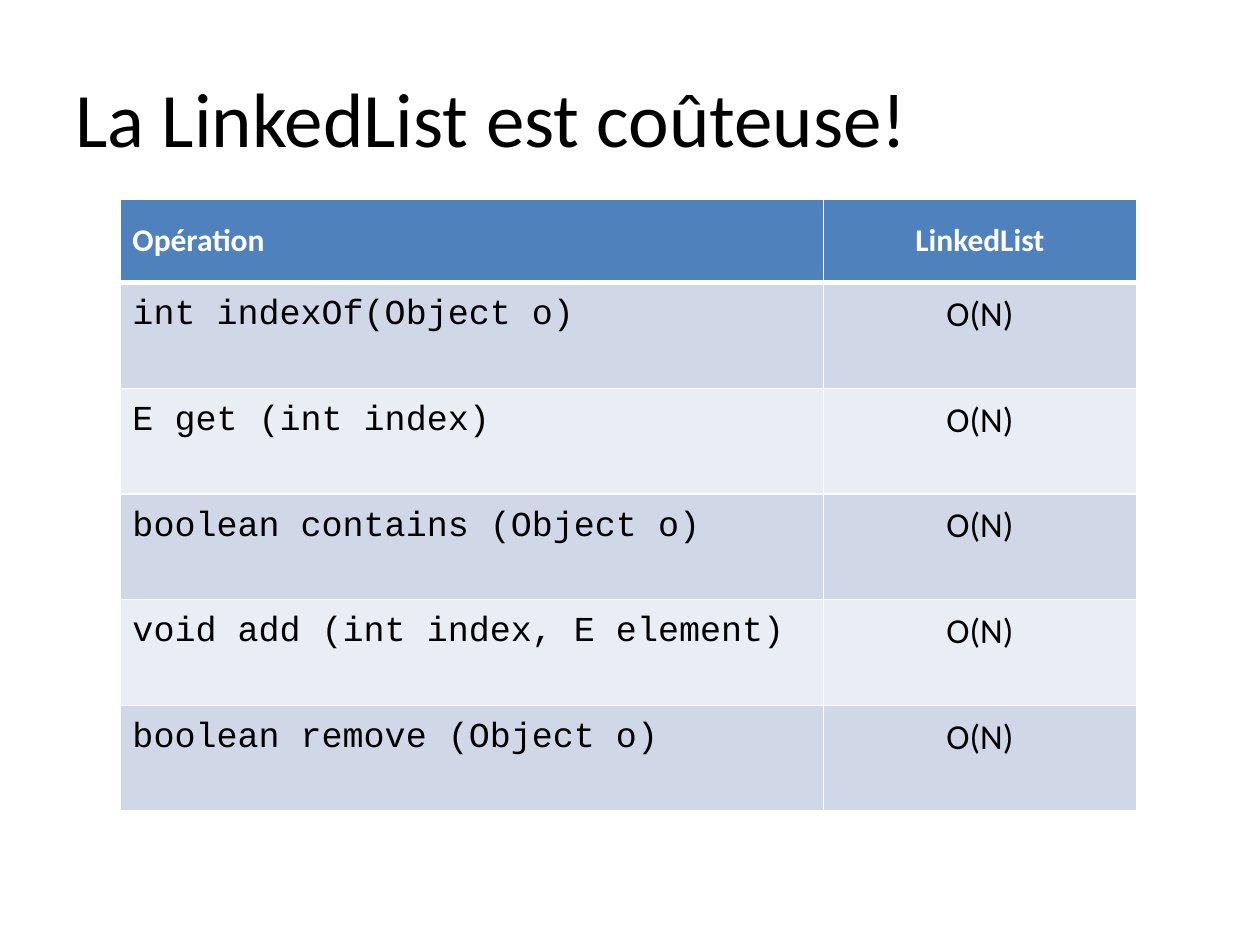
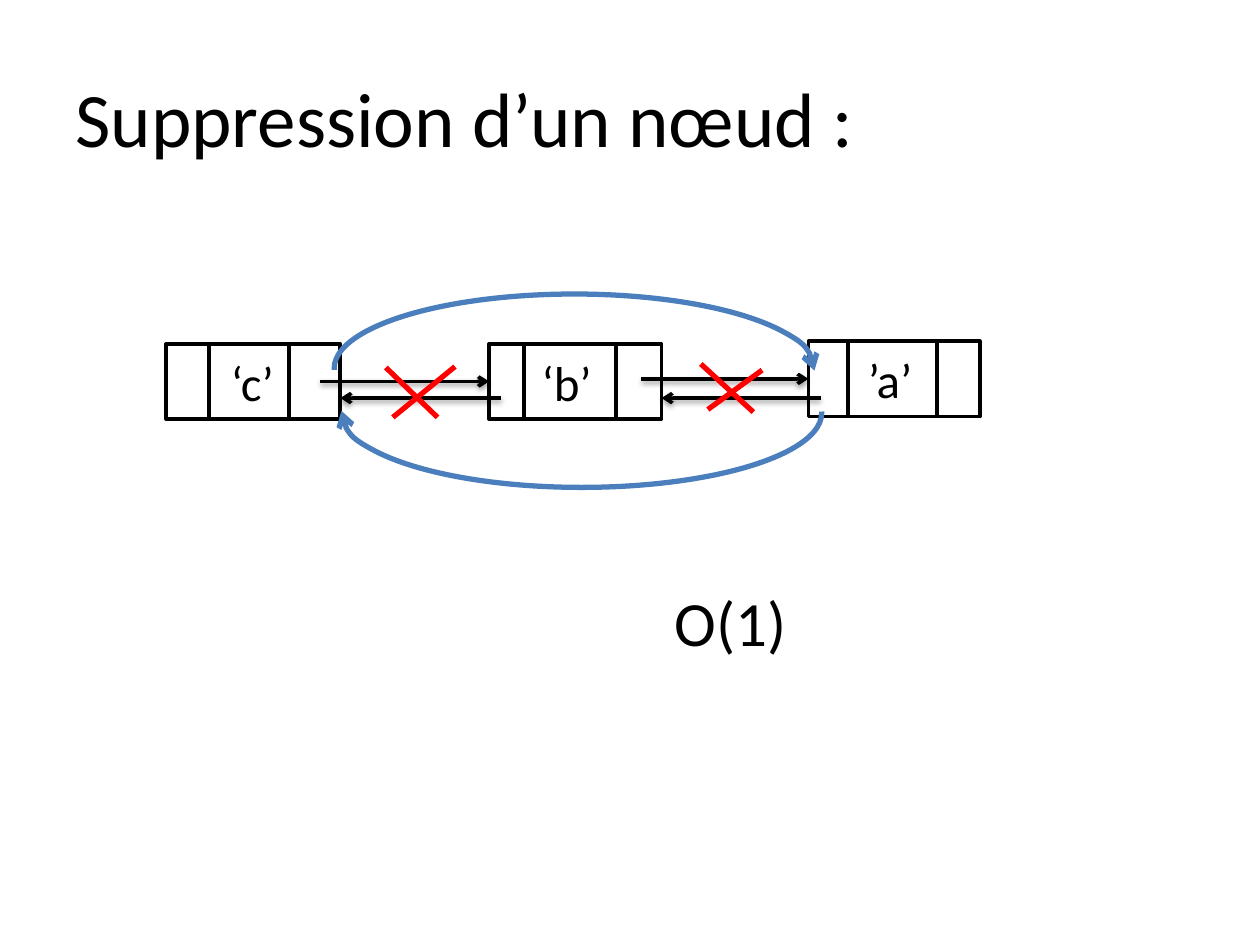
from typing import NamedTuple

from lxml import etree
from pptx import Presentation
from pptx.dml.color import RGBColor
from pptx.enum import shapes, text
from pptx.oxml import parse_xml
from pptx.oxml.ns import nsdecls, qn
from pptx.util import Pt

BLACK = RGBColor(0x00, 0x00, 0x00)
WHITE = RGBColor(0xFF, 0xFF, 0xFF)
RED = RGBColor(0xFF, 0x00, 0x00)
ARC = RGBColor(0x4B, 0x7E, 0xBC)
HEAD = RGBColor(0x4F, 0x81, 0xBD)
BANDS = RGBColor(0xD0, 0xD8, 0xE8), RGBColor(0xE9, 0xED, 0xF4)
SANS, MONO = "Calibri", "Courier New"
LEFT, MID = text.PP_ALIGN.LEFT, text.PP_ALIGN.CENTER
TOP, CENTER = text.MSO_ANCHOR.TOP, text.MSO_ANCHOR.MIDDLE


class Node(NamedTuple):
    label: str
    left: float
    top: float
    width: float
    indent: float
    bars: tuple[float, float]
    height: float = 43

    @property
    def right(self) -> float:
        return self.left + self.width

    @property
    def middle(self) -> float:
        return self.top + self.height / 2


class Line(NamedTuple):
    x1: float
    y1: float
    x2: float
    y2: float
    color: RGBColor = BLACK
    width: float = 2
    arrow: bool = False


NODES = (
    Node("‘c’", 95, 196.5, 99.5, 37, (24.5, 70)),
    Node("‘b’", 279.5, 196.5, 98.5, 30, (20, 72.5)),
    Node("’a’", 462, 195, 98, 34, (22.5, 73.5)),
)
CROSSES = (
    Line(220.5, 210, 250, 238.5, RED, 3),
    Line(224.5, 238.5, 260, 209.5, RED, 3),
    Line(404.5, 234, 435.5, 211.5, RED, 3),
    Line(400.5, 208, 430.5, 235.5, RED, 3),
)
METHODS = (
    "int indexOf(Object o)",
    "E get (int index)",
    "boolean contains (Object o)",
    "void add (int index, E element)",
    "boolean remove (Object o)",
)


def write(frame, words: str, size: float, font: str = SANS,
          color: RGBColor = BLACK, bold: bool = False, align=LEFT) -> None:
    para = frame.paragraphs[0]
    para.alignment = align
    run = para.add_run()
    run.text = words
    run.font.size, run.font.name, run.font.bold = Pt(size), font, bold
    run.font.color.rgb = color


def add_text(slide, words: str, left: float, top: float, width: float,
             height: float, size: float, anchor=TOP, wrap: bool = True) -> None:
    box = slide.shapes.add_textbox(Pt(left), Pt(top), Pt(width), Pt(height))
    frame = box.text_frame
    frame.word_wrap, frame.vertical_anchor = wrap, anchor
    write(frame, words, size)


def add_slide(deck, title: str):
    slide = deck.slides.add_slide(deck.slide_layouts[6])
    add_text(slide, title, 36, 21.6, 648, 90, 44, CENTER)
    return slide


def stroke(shape, color: RGBColor, width: float, arrow: bool = False) -> None:
    shape.line.color.rgb, shape.line.width = color, Pt(width)
    if arrow:
        ln = shape._element.spPr.get_or_add_ln()
        etree.SubElement(ln, qn("a:tailEnd"), type="arrow")


def add_line(slide, line: Line):
    """Draw a line; only arrows carry a soft shadow."""
    link = slide.shapes.add_connector(
        shapes.MSO_CONNECTOR.STRAIGHT,
        Pt(line.x1), Pt(line.y1), Pt(line.x2), Pt(line.y2))
    stroke(link, line.color, line.width, line.arrow)
    glow = etree.SubElement(link._element.spPr, qn("a:effectLst"))
    if line.arrow:
        shade = etree.SubElement(
            glow, qn("a:outerShdw"), blurRad=str(Pt(3.1)), dist=str(Pt(1.6)),
            dir="5400000", rotWithShape="0")
        tint = etree.SubElement(shade, qn("a:srgbClr"), val=str(BLACK))
        etree.SubElement(tint, qn("a:alpha"), val="38000")
    return link


def add_node(slide, node: Node):
    box = slide.shapes.add_shape(
        shapes.MSO_SHAPE.RECTANGLE,
        Pt(node.left), Pt(node.top), Pt(node.width), Pt(node.height))
    box.shadow.inherit = False
    box.fill.solid()
    box.fill.fore_color.rgb = WHITE
    stroke(box, BLACK, 2)
    frame = box.text_frame
    frame.margin_left, frame.margin_right = Pt(node.indent), 0
    frame.vertical_anchor = CENTER
    write(frame, node.label, 28)
    for bar in node.bars:
        x = node.left + bar
        add_line(slide, Line(x, node.top, x, node.top + node.height, width=2.25))
    return box


def add_arc(slide, left: float, top: float, turn: float) -> None:
    arc = slide.shapes.add_shape(
        shapes.MSO_SHAPE.ARC, Pt(left), Pt(top), Pt(274.5), Pt(85))
    arc.adjustments[0], arc.adjustments[1] = 107.79, 0.31
    arc.rotation = turn
    arc.shadow.inherit = False
    arc.fill.background()
    stroke(arc, ARC, 3, arrow=True)


def paint(cell, fill: RGBColor, base: float = 1) -> None:
    """Fill a cell and give it white borders, the lower one base points wide."""
    props = cell._tc.get_or_add_tcPr()
    for side, width in zip("LRTB", (1, 1, 1, base)):
        props.append(parse_xml(
            f'<a:ln{side} {nsdecls("a")} w="{Pt(width)}"><a:solidFill>'
            f'<a:srgbClr val="{WHITE}"/></a:solidFill></a:ln{side}>'))
    cell.fill.solid()
    cell.fill.fore_color.rgb = fill


def draw_costs(deck) -> None:
    slide = add_slide(deck, "La LinkedList est coûteuse!")
    grid = slide.shapes.add_table(
        len(METHODS) + 1, 2, Pt(68.5), Pt(114), Pt(581), Pt(349.5)).table
    for col, width in zip(grid.columns, (402, 179)):
        col.width = Pt(width)
    for i, row in enumerate(grid.rows):
        row.height = Pt(60.4 if i else 47.5)
    for cell, words, align in zip(grid.rows[0].cells,
                                  ("Opération", "LinkedList"), (LEFT, MID)):
        paint(cell, HEAD, 3)
        cell.vertical_anchor = CENTER
        write(cell.text_frame, words, 18, color=WHITE, bold=True, align=align)
    for i, method in enumerate(METHODS):
        name, cost = grid.rows[i + 1].cells
        for cell, pad in ((name, 7.5), (cost, 6)):
            paint(cell, BANDS[i % 2])
            cell.vertical_anchor, cell.margin_top = TOP, Pt(pad)
        write(name.text_frame, method, 20, MONO)
        write(cost.text_frame, "O(N)", 20, align=MID)


def draw_removal(deck) -> None:
    slide = add_slide(deck, "Suppression d’un nœud :")
    boxes = [add_node(slide, node) for node in NODES]
    for prev, post, box in zip(NODES, NODES[1:], boxes[1:]):
        y = post.middle
        link = add_line(slide, Line(prev.right - 11.5, y, post.left, y, arrow=True))
        link.end_connect(box, 1)
        add_line(slide, Line(post.left + 7, 227.5, prev.right, 227.5, arrow=True))
    add_arc(slide, 191, 168, 0)
    add_arc(slide, 195, 193.5, 180)
    for line in CROSSES:
        add_line(slide, line)
    add_text(slide, "O(1)", 378.5, 330, 79, 51, 36, wrap=False)


def main() -> None:
    deck = Presentation()
    deck.slide_width, deck.slide_height = Pt(720), Pt(540)
    draw_costs(deck)
    draw_removal(deck)
    deck.save("out.pptx")


if __name__ == "__main__":
    main()
